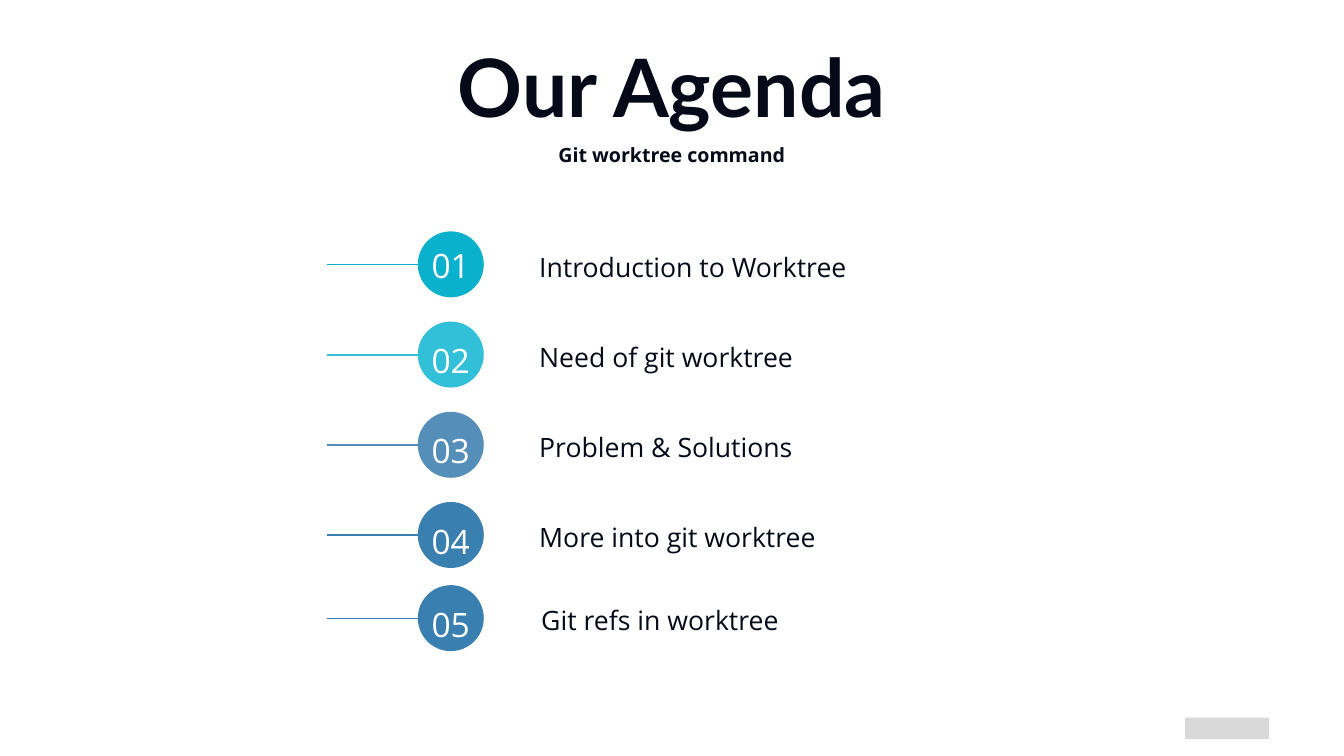
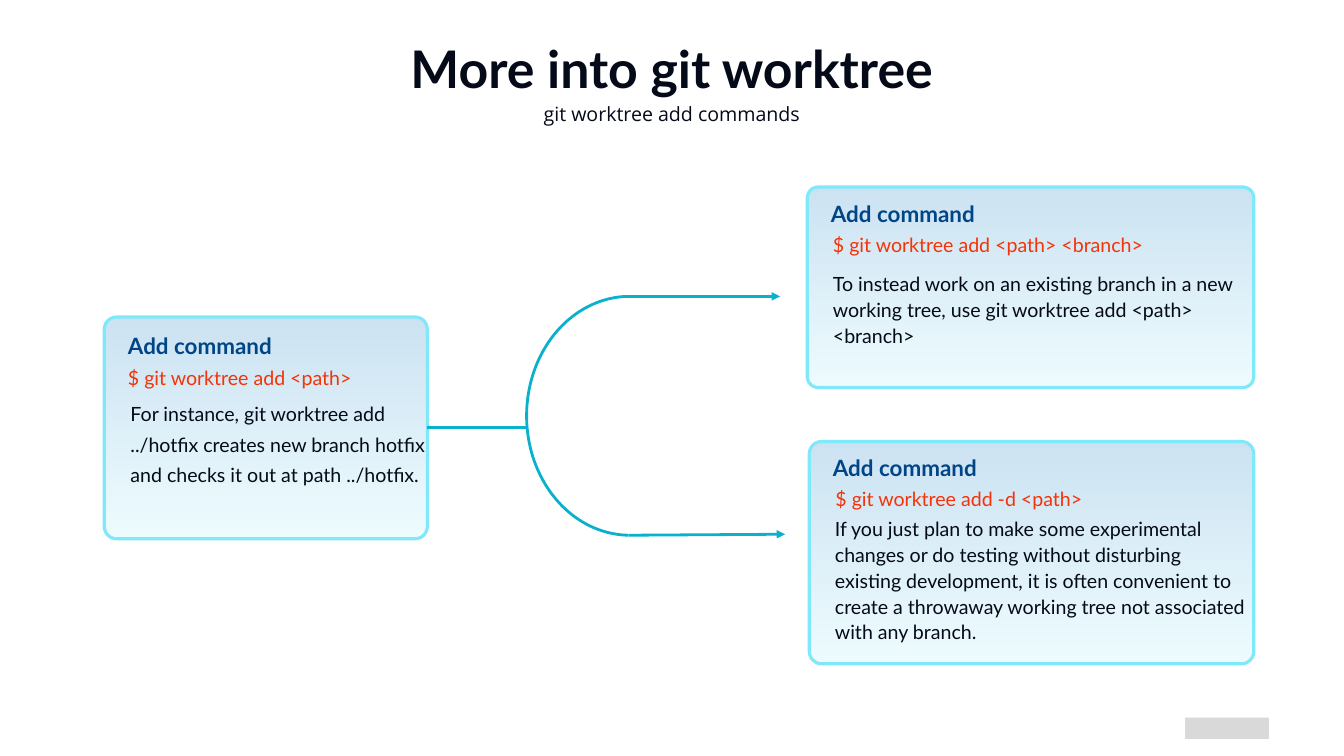
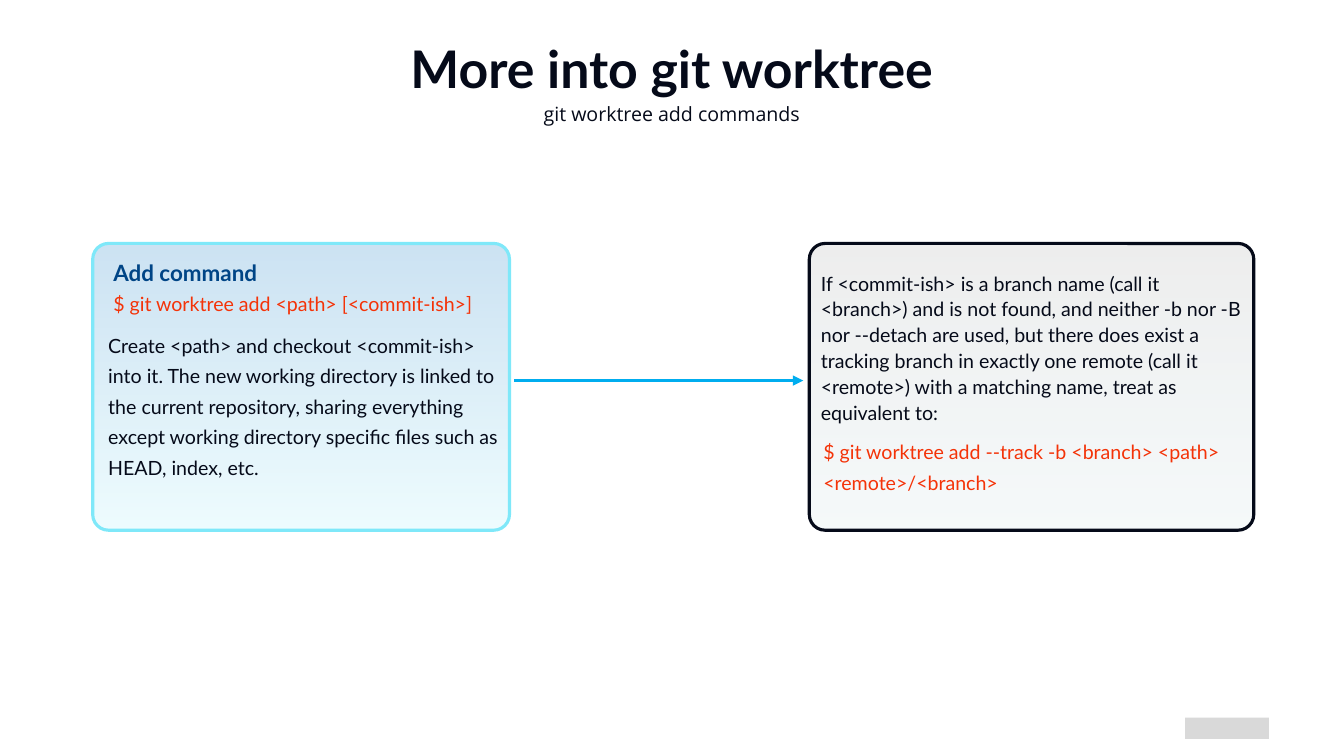
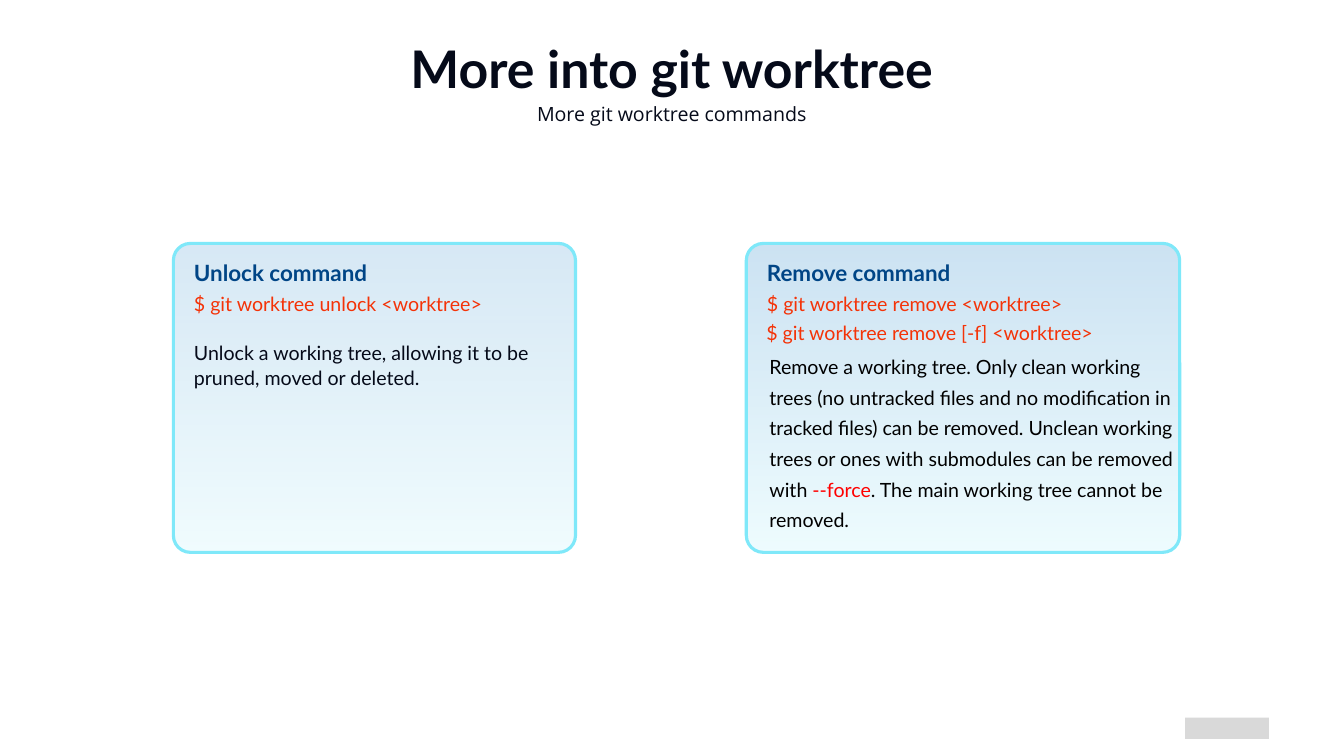
from lxml import etree
from pptx import Presentation
from pptx.dml.color import RGBColor
from pptx.enum.shapes import MSO_CONNECTOR, MSO_SHAPE
from pptx.enum.text import MSO_ANCHOR, MSO_AUTO_SIZE, PP_ALIGN
from pptx.oxml.ns import qn
from pptx.util import Inches, Pt

INK, WHITE, TEAL, FOOTER_GREY = "050A19", "FFFFFF", "09B1CC", "D9D9D9"
HEADING, COMMAND, FORCE = "004586", "F43308", "FF0000"
AQUA, ARROW_BLUE = "7FE8F9", "00ADEF"
LATO, OPEN_SANS = "Lato", "Open Sans"

AGENDA = [
    ("01", "Introduction to Worktree", TEAL, 4.59),
    ("02", "Need of git worktree", "32C0D8", 6.38),
    ("03", "Problem & Solutions", "558EB9", 8.17),
    ("04", "More into git worktree", "397FB0", 9.96),
    ("05", "Git refs in worktree", "397FB0", 11.61),
]

CARD_STYLES = {
    "blue": ([("0070C0", 20), ("AAF0FB", 20)], AQUA),
    "pale": ([("0070C0", 16), ("AAF0FB", 17)], AQUA),
    "grey": ([("A6A6A6", 20), ("A8CBD1", 11)], INK),
}

TEXT_STYLES = {
    "heading": dict(size=32, color=HEADING, bold=True),
    "command": dict(size=28, color=COMMAND, spacing=1.3),
    "tight": dict(size=28, color=INK, spacing=1.1),
    "loose": dict(size=28, color=INK, spacing=1.3),
}

COMMAND_SLIDES = [
    {
        "subtitle": "git worktree add commands",
        "cards": [
            ("blue", (2.07, 6.29, 6.41, 4.4), [
                ("heading", (2.44, 6.55, 5.66, 0.64), "Add command"),
                ("command", (2.44, 7.07, 5.61, 0.71), "$ git worktree add <path>"),
                ("loose", (2.49, 7.79, 6.59, 2.55),
                 "For instance, git worktree add ../hotfix creates new branch hotfix "
                 "and checks it out at path ../hotfix."),
            ]),
            ("blue", (16.02, 3.71, 8.86, 3.98), [
                ("heading", (16.39, 3.92, 5.66, 0.64), "Add command"),
                ("command", (16.43, 4.43, 7.28, 0.71), "$ git worktree add <path> <branch>"),
                ("tight", (16.43, 5.3, 8.44, 1.65),
                 "To instead work on an existing branch in a new working tree, "
                 "use git worktree add <path> <branch>"),
            ]),
            ("blue", (16.06, 8.76, 8.82, 4.41), [
                ("heading", (16.43, 8.97, 5.66, 0.64), "Add command"),
                ("command", (16.48, 9.48, 7.28, 0.71), "$ git worktree add -d <path>"),
                ("tight", (16.47, 10.16, 8.36, 2.69),
                 "If you just plan to make some experimental changes or do testing "
                 "without disturbing existing development, it is often convenient to "
                 "create a throwaway working tree not associated with any branch."),
            ]),
        ],
        "fork": (10.45, 5.88, 4.1, 4.74),
        "lines": [
            ((8.48, 8.49), (10.45, 8.49), TEAL, 4, False),
            ((12.43, 5.88), (15.48, 5.88), TEAL, 4, True),
            ((12.47, 10.62), (15.58, 10.6), TEAL, 4, True),
        ],
    },
    {
        "subtitle": "git worktree add commands",
        "cards": [
            ("blue", (1.84, 4.83, 8.27, 5.69), [
                ("heading", (2.15, 5.1, 5.66, 0.64), "Add command"),
                ("command", (2.15, 5.61, 7.63, 0.71), "$ git worktree add <path> [<commit-ish>]"),
                ("loose", (2.05, 6.43, 8.06, 3.16),
                 "Create <path> and checkout <commit-ish> into it. The new working "
                 "directory is linked to the current repository, sharing everything "
                 "except working directory specific files such as HEAD, index, etc."),
            ]),
            ("grey", (16.06, 4.83, 8.82, 5.69), [
                ("command", (16.24, 8.54, 8.36, 1.32),
                 "$ git worktree add --track -b <branch> <path> <remote>/<branch>"),
                ("tight", (16.19, 5.29, 8.65, 3.21),
                 "If <commit-ish> is a branch name (call it <branch>) and is not found, "
                 "and neither -b nor -B nor --detach are used, but there does exist a "
                 "tracking branch in exactly one remote (call it <remote>) with a "
                 "matching name, treat as equivalent to:"),
            ]),
        ],
        "lines": [((10.2, 7.55), (15.94, 7.55), ARROW_BLUE, 5, True)],
    },
    {
        "subtitle": "More git worktree commands",
        "cards": [
            ("pale", (3.44, 4.83, 7.98, 6.13), [
                ("heading", (3.75, 5.1, 5.66, 0.64), "Unlock command"),
                ("command", (3.75, 5.61, 7.45, 0.71), "$ git worktree unlock <worktree>"),
                ("tight", (3.75, 6.66, 7.63, 1.14),
                 "Unlock a working tree, allowing it to be pruned, moved or deleted."),
            ]),
            ("blue", (14.81, 4.83, 8.6, 6.13), [
                ("heading", (15.12, 5.09, 5.66, 0.64), "Remove command"),
                ("command", (15.12, 5.6, 8.29, 0.71), "$ git worktree remove <worktree>"),
                ("command", (15.11, 6.18, 8.29, 0.71), "$ git worktree remove [-f] <worktree>"),
                ("loose", (15.17, 6.86, 8.23, 3.77), [
                    ("Remove a working tree. Only clean working trees (no untracked files "
                     "and no modification in tracked files) can be removed. Unclean working "
                     "trees or ones with submodules can be removed with ", "000000"),
                    ("--force", FORCE),
                    (". The main working tree cannot be removed.", "000000"),
                ]),
            ]),
        ],
    },
]


def rgb(color):
    return RGBColor.from_string(color)


def inches(lengths):
    return [Inches(length) for length in lengths]


def write(frame, content, size, color=INK, font=LATO, bold=False, spacing=None, align=PP_ALIGN.LEFT):
    frame.word_wrap = True
    frame.vertical_anchor = MSO_ANCHOR.TOP
    paragraph = frame.paragraphs[0]
    paragraph.alignment = align
    if spacing:
        paragraph.line_spacing = spacing
    pieces = [(content, color)] if isinstance(content, str) else content
    for words, tint in pieces:
        run = paragraph.add_run()
        run.text = words
        run.font.name = font
        run.font.size = Pt(size)
        run.font.bold = bold
        run.font.color.rgb = rgb(tint)


def add_text(slide, box, content, inset=True, **style):
    frame = slide.shapes.add_textbox(*inches(box)).text_frame
    if inset:
        frame.auto_size = MSO_AUTO_SIZE.SHAPE_TO_FIT_TEXT
    else:
        frame.margin_left = frame.margin_right = frame.margin_top = frame.margin_bottom = 0
    write(frame, content, **style)


def add_plain_shape(slide, preset, box, color=None):
    shape = slide.shapes.add_shape(preset, *inches(box))
    shape.shadow.inherit = False
    shape.line.fill.background()
    if color:
        shape.fill.solid()
        shape.fill.fore_color.rgb = rgb(color)
    else:
        shape.fill.background()
    return shape


def outline(shape, color, width):
    shape.line.color.rgb = rgb(color)
    shape.line.width = Pt(width)


def add_line(slide, start, end, color, width, arrow=False):
    line = slide.shapes.add_connector(MSO_CONNECTOR.STRAIGHT, *inches(start + end))
    outline(line, color, width)
    if arrow:
        etree.SubElement(line.element.spPr.get_or_add_ln(), qn("a:tailEnd"), type="triangle")
    etree.SubElement(line.element.spPr, qn("a:effectLst"))


def add_card(slide, style, box):
    stops, border = CARD_STYLES[style]
    card = add_plain_shape(slide, MSO_SHAPE.ROUNDED_RECTANGLE, box)
    card.adjustments[0] = 0.055
    card.fill.gradient()
    card.fill.gradient_angle = 270
    for stop, (color, _) in zip(card.fill.gradient_stops, stops):
        stop.color.rgb = rgb(color)
    for tint, (_, opacity) in zip(card.element.spPr.iter(qn("a:srgbClr")), stops):
        etree.SubElement(tint, qn("a:alpha"), val=str(opacity * 1000))
    outline(card, border, 4.5)


def add_fork(slide, box):
    fork = add_plain_shape(slide, MSO_SHAPE.ARC, box)
    fork.adjustments[0] = 54.49
    fork.adjustments[1] = 160.96
    outline(fork, TEAL, 4)


def start_slide(deck, title, subtitle, title_size=74, subtitle_top=2.03, subtitle_bold=False):
    slide = deck.slides.add_slide(deck.slide_layouts[6])
    add_text(slide, (1.83, 0.73, 23, 1.27), title, inset=False,
             size=title_size, bold=True, align=PP_ALIGN.CENTER)
    add_text(slide, (1.83, subtitle_top, 23, 0.49), subtitle, inset=False,
             size=28, font=OPEN_SANS, bold=subtitle_bold, align=PP_ALIGN.CENTER)
    add_plain_shape(slide, MSO_SHAPE.RECTANGLE, (23.52, 14.24, 1.66, 0.42), FOOTER_GREY)
    return slide


def build_agenda(deck):
    slide = start_slide(deck, "Our Agenda", "Git worktree command",
                        title_size=115, subtitle_top=2.84, subtitle_bold=True)
    for number, topic, color, top in AGENDA:
        middle = top + 0.66
        number_top = top + (0.11 if number == "01" else 0.21)
        topic_left = 10.74 if number == "05" else 10.7
        add_plain_shape(slide, MSO_SHAPE.OVAL, (8.29, top, 1.31, 1.31), color)
        add_line(slide, (6.48, middle), (8.44, middle), color, 2.25)
        add_text(slide, (8.43, number_top, 1.03, 0.97), number, inset=False, size=48,
                 color=WHITE, font=OPEN_SANS, spacing=1.2, align=PP_ALIGN.CENTER)
        add_text(slide, (topic_left, top + 0.38, 6.29, 0.64), topic, inset=False,
                 size=38, font=OPEN_SANS)


def build_commands(deck, content):
    slide = start_slide(deck, "More into git worktree", content["subtitle"])
    for style, box, texts in content["cards"]:
        add_card(slide, style, box)
        for kind, place, words in texts:
            add_text(slide, place, words, **TEXT_STYLES[kind])
    if "fork" in content:
        add_fork(slide, content["fork"])
    for line in content.get("lines", []):
        add_line(slide, *line)


def main():
    deck = Presentation()
    deck.slide_width, deck.slide_height = Inches(26.67), Inches(15)
    build_agenda(deck)
    for content in COMMAND_SLIDES:
        build_commands(deck, content)
    deck.save("out.pptx")


if __name__ == "__main__":
    main()
